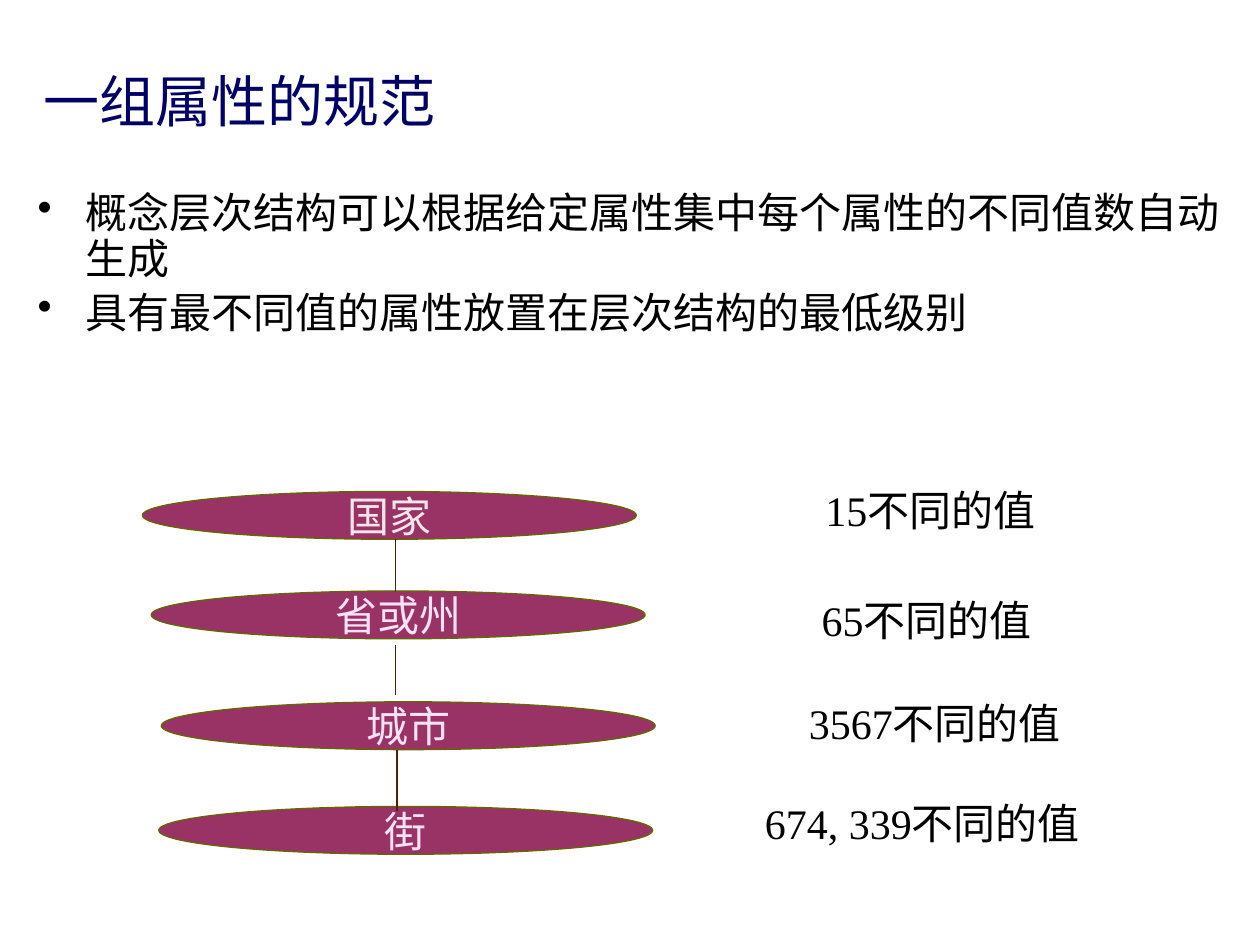
from lxml.etree import SubElement
from pptx import Presentation
from pptx.dml.color import RGBColor
from pptx.enum.shapes import MSO_CONNECTOR, MSO_SHAPE
from pptx.enum.text import MSO_ANCHOR, MSO_AUTO_SIZE, PP_ALIGN
from pptx.oxml.ns import qn
from pptx.util import Inches, Pt

NAVY = RGBColor(0x00, 0x00, 0x66)
BLACK = RGBColor(0x00, 0x00, 0x00)
PLUM = RGBColor(0x99, 0x33, 0x66)
OLIVE = RGBColor(0x66, 0x66, 0x00)
BROWN = RGBColor(0x48, 0x24, 0x00)
ROSE = RGBColor(0xF6, 0xE6, 0xEA)
PINK = RGBColor(0xFA, 0xE2, 0xF6)
SANS = "Montserrat"
SERIF = "Times New Roman"

POINTS = [
    "概念层次结构可以根据给定属性集中每个属性的不同值数自动生成",
    "具有最不同值的属性放置在层次结构的最低级别",
]
LEVELS = [
    ("国家", 1.13, 3.9, ROSE),
    ("省或州", 1.2, 4.69, PINK),
    ("城市", 1.28, 5.57, PINK),
    ("街", 1.26, 6.4, PINK),
]
LINKS = [(3.14, 4.28, 4.7), (3.14, 5.12, 5.52), (3.15, 5.95, 6.44)]
COUNTS = [
    ("15不同的值", 6.12, 3.8, 2.53, False),
    ("65不同的值", 6.09, 4.67, 2.53, True),
    ("3567不同的值", 5.99, 5.49, 2.86, False),
    ("674, 339不同的值", 5.68, 6.28, 3.28, False),
]


def write(par, text, font=SERIF, size=24, color=BLACK, align=PP_ALIGN.CENTER):
    par.alignment = align
    run = par.add_run()
    run.text = text
    run.font.name = font
    run.font.size = Pt(size)
    run.font.color.rgb = color


def add_box(slide, left, top, width, height, wrap=True):
    box = slide.shapes.add_textbox(
        Inches(left), Inches(top), Inches(width), Inches(height))
    box.text_frame.word_wrap = wrap
    return box.text_frame


def add_title(slide, text):
    frame = add_box(slide, 0.25, 0.53, 9.42, 0.58)
    frame.vertical_anchor = MSO_ANCHOR.BOTTOM
    write(frame.paragraphs[0], text, font=SANS, size=32, color=NAVY,
          align=PP_ALIGN.LEFT)


def add_list(slide, items):
    frame = add_box(slide, 0.2, 1.48, 9.65, 2.08)
    for i, item in enumerate(items):
        par = frame.add_paragraph() if i else frame.paragraphs[0]
        write(par, item, font=SANS, align=PP_ALIGN.LEFT)
        par.line_spacing = 0.9
        par.space_before = Pt(4.8)
        props = par._p.get_or_add_pPr()
        props.set("marL", str(Inches(0.38)))
        props.set("indent", str(-Inches(0.38)))
        SubElement(props, qn("a:buChar")).set("char", "•")


def add_level(slide, text, left, top, color):
    oval = slide.shapes.add_shape(
        MSO_SHAPE.OVAL, Inches(left), Inches(top), Inches(3.92), Inches(0.38))
    oval.shadow.inherit = False
    oval.fill.solid()
    oval.fill.fore_color.rgb = PLUM
    oval.line.color.rgb = OLIVE
    oval.line.width = Pt(0.75)
    frame = oval.text_frame
    frame.word_wrap = False
    frame.vertical_anchor = MSO_ANCHOR.MIDDLE
    write(frame.paragraphs[0], text, color=color)


def add_link(slide, left, top, end):
    link = slide.shapes.add_connector(
        MSO_CONNECTOR.STRAIGHT, Inches(left), Inches(top),
        Inches(left), Inches(end))
    link.line.color.rgb = BROWN
    link.line.width = Pt(0.75)
    SubElement(link._element.spPr, qn("a:effectLst"))


def add_count(slide, text, left, top, width, wrap):
    frame = add_box(slide, left, top, width, 0.5, wrap=wrap)
    frame.auto_size = MSO_AUTO_SIZE.SHAPE_TO_FIT_TEXT
    write(frame.paragraphs[0], text)


def main():
    deck = Presentation()
    deck.slide_width = Inches(10)
    deck.slide_height = Inches(7.5)
    slide = deck.slides.add_slide(deck.slide_layouts[6])
    add_title(slide, "一组属性的规范")
    add_list(slide, POINTS)
    for level in LEVELS:
        add_level(slide, *level)
    for link in LINKS:
        add_link(slide, *link)
    for count in COUNTS:
        add_count(slide, *count)
    deck.save("out.pptx")


if __name__ == "__main__":
    main()
